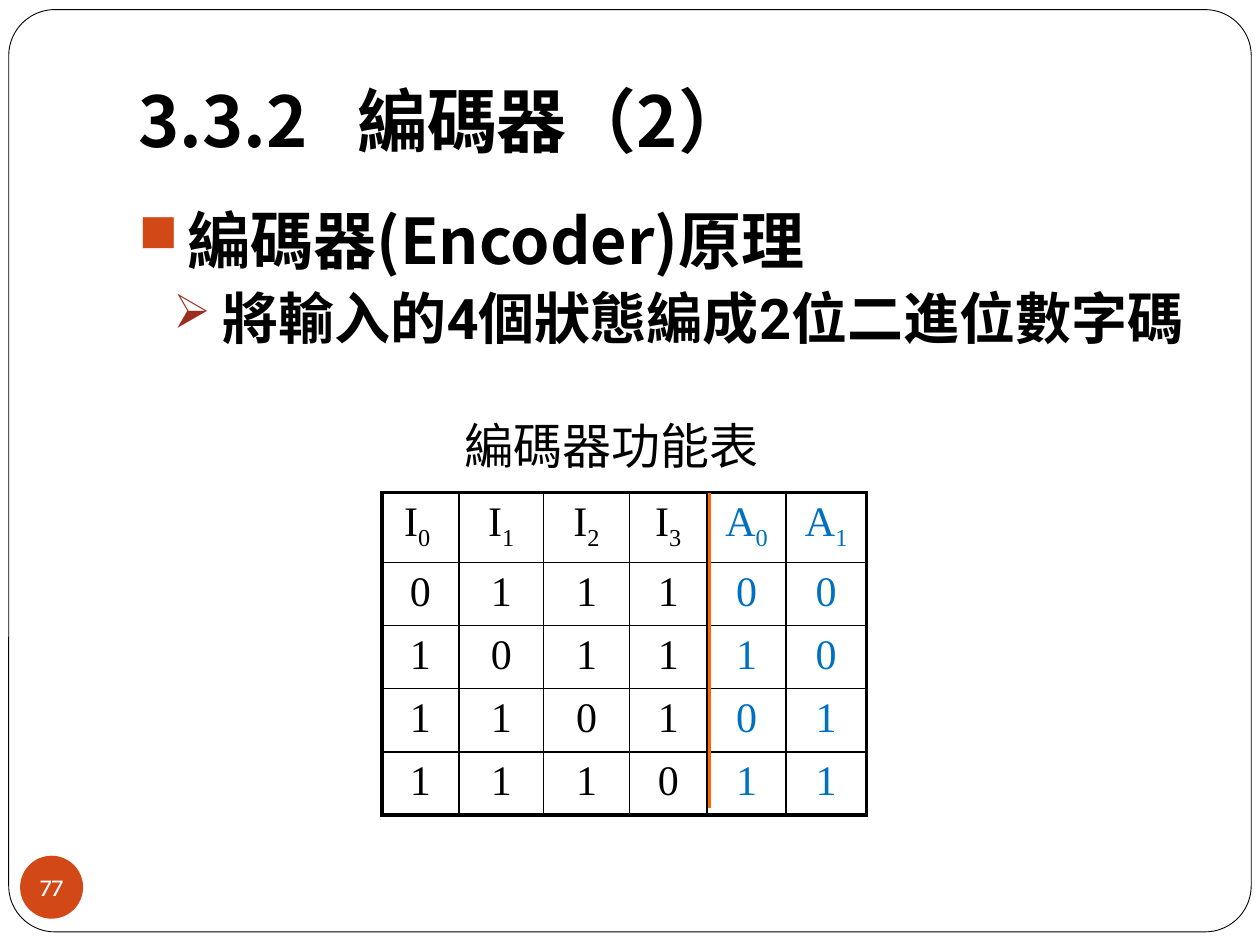
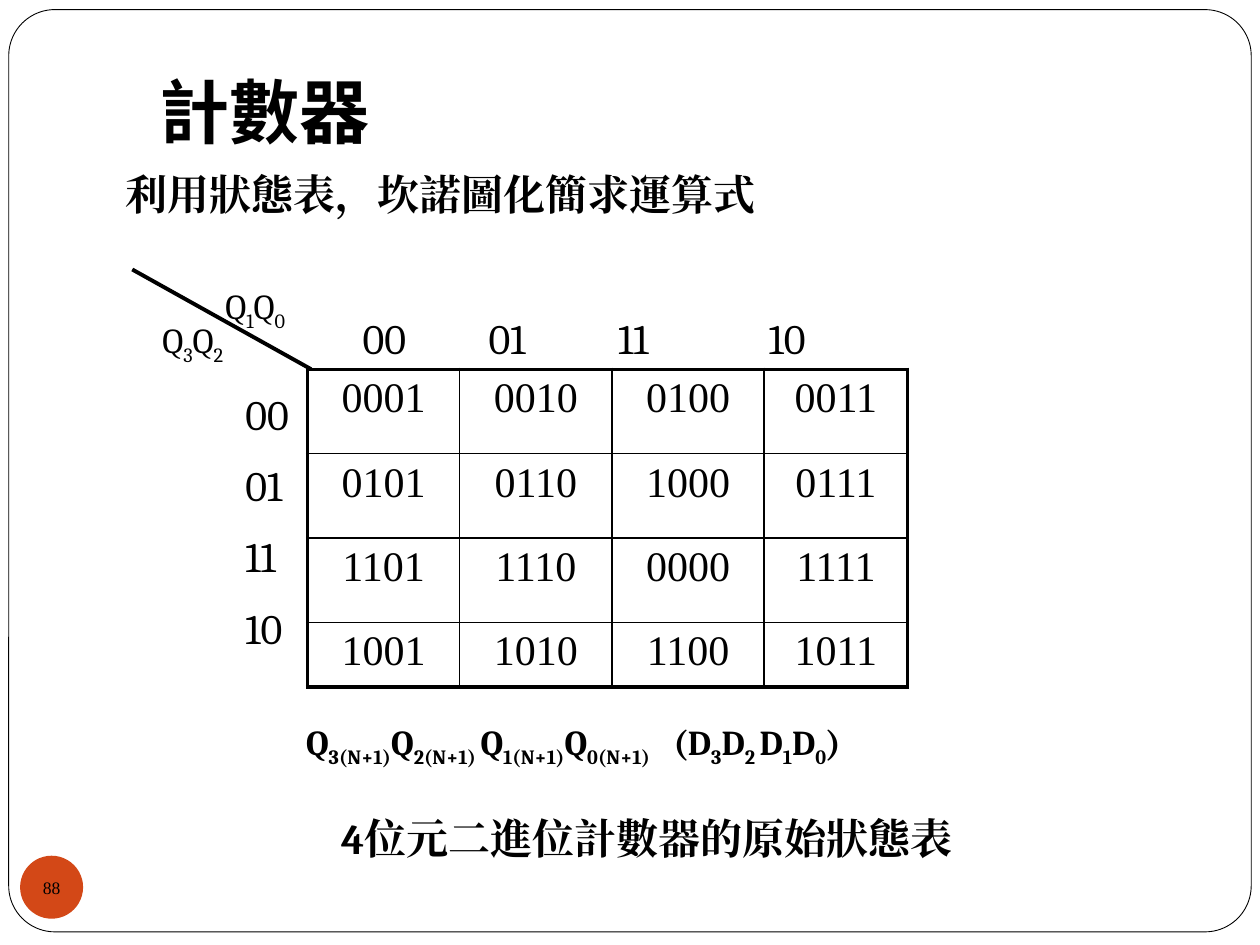
from lxml import etree
from pptx import Presentation
from pptx import util as u
from pptx.dml.color import RGBColor
from pptx.enum import shapes, text
from pptx.oxml import ns

Pt = u.Pt
BLACK, WHITE, ACCENT = "000000", "FFFFFF", "D34817"
BULLET_DARK, OUTPUT_BLUE, DIVIDER = "9B2D1F", "0070C0", "FF6600"
HEADING, BODY, SERIF, LABEL = "Noto Sans CJK JP", "Roboto", "Times New Roman", "Cambria"
LEFT, CENTER = text.PP_ALIGN.LEFT, text.PP_ALIGN.CENTER
THIN, THICK = 1, 2.25


def color(hex_string):
    return RGBColor.from_string(hex_string)


def add_xml(parent, tag, **attributes):
    return etree.SubElement(parent, ns.qn(tag), attributes)


class Deck:
    """Holds the shared style and the slide being filled."""

    def __init__(self):
        self.presentation = Presentation()
        self.presentation.slide_width = Pt(720)
        self.presentation.slide_height = Pt(540)
        self.slide = None

    def new_slide(self, number, font, size, number_color):
        layout = self.presentation.slide_layouts[6]
        self.slide = self.presentation.slides.add_slide(layout)
        # Rounded page frame
        frame = self.shape(shapes.MSO_SHAPE.ROUNDED_RECTANGLE, 5, 5.5, 710, 527, WHITE)
        frame.adjustments[0] = 0.05
        frame.line.color.rgb = color(BLACK)
        frame.line.width = Pt(0.5)
        # Page number badge
        badge = self.shape(shapes.MSO_SHAPE.OVAL, 11.5, 489, 36, 36, ACCENT)
        frame_text = badge.text_frame
        frame_text.word_wrap = False
        frame_text.margin_left = frame_text.margin_right = 0
        frame_text.margin_top = frame_text.margin_bottom = 0
        frame_text.vertical_anchor = text.MSO_ANCHOR.MIDDLE
        self.add_runs(frame_text.paragraphs[0], number, size, font, number_color, align=CENTER)

    def shape(self, kind, left, top, width, height, fill):
        shape = self.slide.shapes.add_shape(kind, Pt(left), Pt(top), Pt(width), Pt(height))
        shape.shadow.inherit = False
        shape.fill.solid()
        shape.fill.fore_color.rgb = color(fill)
        shape.line.fill.background()
        return shape

    def add_runs(self, paragraph, content, size, font, ink=BLACK, bold=False, align=LEFT):
        """Add runs; every second part between bars is a subscript."""
        paragraph.alignment = align
        for index, part in enumerate(content.split("|")):
            if not part:
                continue
            run = paragraph.add_run()
            run.text = part
            run.font.size = Pt(size)
            run.font.name = font
            run.font.bold = bold
            run.font.color.rgb = color(ink)
            properties = run.font._element
            add_xml(properties, "a:ea", typeface=font)
            if index % 2:
                properties.set("baseline", "-25000")

    def box(self, left, top, width, height, wrap=True):
        box = self.slide.shapes.add_textbox(Pt(left), Pt(top), Pt(width), Pt(height))
        box.text_frame.word_wrap = wrap
        return box.text_frame

    def text(self, area, lines, size, font=LABEL, bold=False, align=LEFT,
             wrap=True, tabs=(), indent=0):
        frame = self.box(*area, wrap=wrap)
        for index, line in enumerate(lines):
            paragraph = frame.paragraphs[0] if index == 0 else frame.add_paragraph()
            if index:
                paragraph.space_before = Pt(size / 2)
            properties = paragraph._p.get_or_add_pPr()
            properties.set("marL", str(Pt(indent)))
            if tabs:
                stops = add_xml(properties, "a:tabLst")
                for position in tabs:
                    add_xml(stops, "a:tab", pos=str(Pt(position)), algn="l")
            self.add_runs(paragraph, line, size, font, bold=bold, align=align)
        return frame

    def title(self, area, content, tabs=()):
        frame = self.text(area, [content], 40, HEADING, bold=True, tabs=tabs)
        frame.vertical_anchor = text.MSO_ANCHOR.BOTTOM
        frame.margin_bottom = Pt(7.2)

    def bullets(self, area, items):
        frame = self.box(*area)
        for index, (mark, mark_color, margin, content, size, font) in enumerate(items):
            paragraph = frame.paragraphs[0] if index == 0 else frame.add_paragraph()
            if index:
                paragraph.space_before = Pt(3.7)
            properties = paragraph._p.get_or_add_pPr()
            properties.set("marL", str(Pt(margin)))
            properties.set("indent", str(Pt(-28)))
            add_xml(add_xml(properties, "a:buClr"), "a:srgbClr", val=mark_color)
            add_xml(properties, "a:buSzPct", val="85000")
            add_xml(properties, "a:buChar", char=mark)
            self.add_runs(paragraph, content, size, font, bold=True)

    def line(self, start, end, ink, width):
        connector = self.slide.shapes.add_connector(
            shapes.MSO_CONNECTOR.STRAIGHT, *(Pt(value) for value in start + end))
        connector.line.color.rgb = color(ink)
        connector.line.width = Pt(width)
        add_xml(connector._element.spPr, "a:effectLst")

    def table(self, left, top, widths, heights, rows, blue_from=None):
        """Grid with thin inner lines and a thick outline."""
        graphic = self.slide.shapes.add_table(
            len(rows), len(widths), Pt(left), Pt(top), Pt(sum(widths)), Pt(sum(heights)))
        table = graphic.table
        table.first_row = table.horz_banding = False
        for column, width in zip(table.columns, widths):
            column.width = Pt(width)
        for row, height in zip(table.rows, heights):
            row.height = Pt(height)
        last_row, last_column = len(rows) - 1, len(widths) - 1
        for r, values in enumerate(rows):
            for c, value in enumerate(values):
                cell = table.cell(r, c)
                is_output = blue_from is not None and c >= blue_from
                ink = OUTPUT_BLUE if is_output else BLACK
                self.add_runs(cell.text_frame.paragraphs[0], value, 24, SERIF, ink, align=CENTER)
                outer = {"a:lnL": c == 0, "a:lnR": c == last_column,
                         "a:lnT": r == 0, "a:lnB": r == last_row}
                properties = cell._tc.get_or_add_tcPr()
                for tag, is_outer in outer.items():
                    border = add_xml(properties, tag, w=str(Pt(THICK if is_outer else THIN)))
                    add_xml(add_xml(border, "a:solidFill"), "a:srgbClr", val=BLACK)
                cell.fill.background()


def encoder_slide(deck):
    deck.new_slide("77", "Karla", 14, WHITE)
    deck.title((72, 21.6, 612, 77.8), "3.3.2\t編碼器（2）", tabs=[125])
    deck.bullets((72, 111.6, 612, 363), [
        ("■", ACCENT, 28, "編碼器(Encoder)原理", 36, HEADING),
        ("➢", BULLET_DARK, 48, "將輸入的4個狀態編成2位二進位數字碼", 32, BODY),
    ])
    # Function table: inputs, then outputs in blue
    header = ["I|0 ", "I|1", "I|2", "I|3", "A|0", "A|1"]
    states = ["011100", "101110", "110101", "111011"]
    deck.table(218.2, 281.5, [44, 48.5, 49, 44.5, 45, 46], [38, 36, 36, 36, 34],
               [header] + [list(state) for state in states], blue_from=4)
    deck.text((203, 234, 293, 41), ["編碼器功能表"], 28, BODY, align=CENTER)
    deck.line((405.4, 281.5), (405.4, 461.5), DIVIDER, 2)


def counter_slide(deck):
    deck.new_slide("88", SERIF, 10, BLACK)
    deck.title((84.2, 23.8, 594, 70.6), "計數器")
    deck.text((64.8, 92.9, 583, 36), ["利用狀態表，坎諾圖化簡求運算式"], 24, bold=True)
    # Karnaugh map with its axis labels
    deck.table(175.7, 211, [87, 87, 87, 82], [48.2, 48.2, 48.2, 37], [
        ["0001", "0010", "0100", "0011"],
        ["0101", "0110", "1000", "0111"],
        ["1101", "1110", "0000", "1111"],
        ["1001", "1010", "1100", "1011"],
    ])
    deck.line((177.8, 211), (75.6, 154), BLACK, THICK)
    deck.text((121.7, 159, 57.6, 31), ["Q|1|Q|0"], 20, wrap=False)
    deck.text((85.7, 178.6, 58.3, 31), ["Q|3|Q|2"], 20, wrap=False)
    codes = ["00", "01", "11", "10"]
    deck.text((133.2, 218.2, 44, 165.6), codes, 24, wrap=False)
    deck.text((200.2, 175, 299, 36), ["\t".join(codes)], 24, tabs=[72, 146, 232])
    # Next-state formula and caption
    formula = "Q|3(N+1)|Q|2(N+1) |Q|1(N+1)|Q|0(N+1)|\t(D|3|D|2 |D|1|D|0|)"
    deck.text((167.8, 408.2, 435.6, 31), [formula], 20, bold=True, tabs=[210])
    deck.text((161.3, 460.8, 402.5, 36), ["4位元二進位計數器的原始狀態表"], 24,
              bold=True, indent=26.5)


def main():
    deck = Deck()
    encoder_slide(deck)
    counter_slide(deck)
    deck.presentation.save("out.pptx")


if __name__ == "__main__":
    main()
